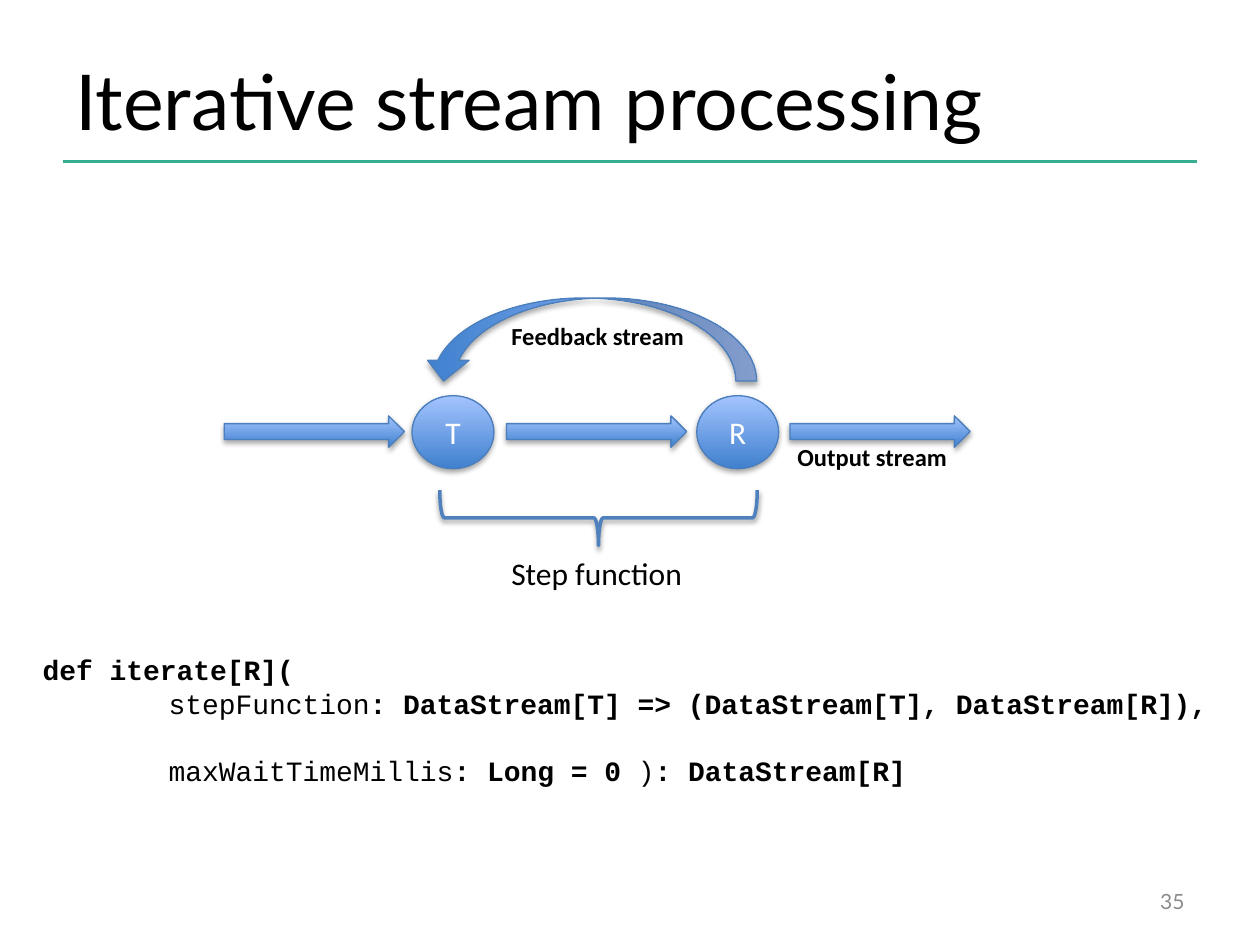
"""Build the slide on iterative stream processing."""
import dataclasses

import pptx
import pptx.dml.color
import pptx.enum.shapes
import pptx.enum.text
import pptx.oxml
import pptx.oxml.ns
import pptx.util

SHAPE = pptx.enum.shapes.MSO_SHAPE
ALIGN = pptx.enum.text.PP_ALIGN
ANCHOR = pptx.enum.text.MSO_ANCHOR
POINTS = pptx.util.Pt


@dataclasses.dataclass(frozen=True)
class Theme:
    """Hold the colours, fonts and type sizes of the slide."""
    rule: str = "34AD91"
    dark: str = "3F80CE"
    light: str = "A4C4FF"
    outline: str = "4B7EBC"
    brace: str = "4F81BD"
    ink: str = "000000"
    paper: str = "FFFFFF"
    muted: str = "8C8C8C"
    heading_font: str = "Lato"
    body_font: str = "Calibri"
    code_font: str = "Courier New"
    title_size: int = 44
    body_size: int = 18
    code_size: int = 16
    label_size: int = 14
    number_size: int = 12
    code_pitch: float = 19.2


THEME = Theme()
WIDTH, HEIGHT = pptx.util.Inches(10), pptx.util.Inches(7.5)
COLUMNS, ROWS = 100, 75


def frame(column, row, columns, rows):
    """Turn grid columns and rows into slide lengths."""
    return (int(WIDTH * column / COLUMNS), int(HEIGHT * row / ROWS),
            int(WIDTH * columns / COLUMNS), int(HEIGHT * rows / ROWS))


def colour(value):
    """Return a colour from its hex value."""
    return pptx.dml.color.RGBColor.from_string(value)


def apply(target, values):
    """Set each attribute named in a dict."""
    for name, value in values.items():
        setattr(target, name, value)


def add_span(para, text, font, size, ink, bold=False):
    """Append one run of text to a paragraph."""
    span = para.add_run()
    span.text = text
    apply(span.font, {"name": font, "size": POINTS(size), "bold": bold})
    span.font.color.rgb = colour(ink)


def add_text(shapes, place, text, font, size, ink=THEME.ink, bold=False,
             wrap=True, anchor=ANCHOR.TOP, align=ALIGN.LEFT):
    """Add a text box with a single paragraph."""
    box = shapes.add_textbox(*frame(*place))
    apply(box.text_frame, {"word_wrap": wrap, "vertical_anchor": anchor})
    para = box.text_frame.paragraphs[0]
    para.alignment = align
    add_span(para, text, font, size, ink, bold)


def set_effects(properties, shadow=None):
    """Give shape properties a soft shadow below, or no effect."""
    namespace = pptx.oxml.ns.nsdecls("a")
    inner = ""
    if shadow:
        opacity, distance = shadow
        inner = (f'<a:outerShdw blurRad="{POINTS(3.1)}" dist="{POINTS(distance)}" '
                 'dir="5400000" rotWithShape="0"><a:srgbClr val="000000">'
                 f'<a:alpha val="{opacity * 1000}"/></a:srgbClr></a:outerShdw>')
    for old in properties.findall(pptx.oxml.ns.qn("a:effectLst")):
        properties.remove(old)
    properties.append(pptx.oxml.parse_xml(
        f"<a:effectLst {namespace}>{inner}</a:effectLst>"))


def add_glossy(shapes, kind, place, rotation=0):
    """Add a preset shape with gradient, outline and shadow."""
    shape = shapes.add_shape(kind, *frame(*place))
    shape.rotation = rotation
    shape.fill.gradient()
    shape.fill.gradient_angle = 90
    for stop, position, value in zip(
            shape.fill.gradient_stops, (0, 1), (THEME.dark, THEME.light)):
        stop.position = position
        stop.color.rgb = colour(value)
    shape.line.color.rgb = colour(THEME.outline)
    shape.line.width = POINTS(0.75)
    set_effects(shape._element.spPr, (35, 1.8))
    return shape


def add_node(shapes, column, letter):
    """Add a round operator node with its letter."""
    node = add_glossy(shapes, SHAPE.OVAL, (column, 31.4, 6.5, 5.8))
    node.text_frame.vertical_anchor = ANCHOR.MIDDLE
    para = node.text_frame.paragraphs[0]
    para.alignment = ALIGN.CENTER
    add_span(para, letter, THEME.body_font, THEME.body_size, THEME.paper)


def add_brace(shapes, place):
    """Add the brace that spans the step function."""
    brace = shapes.add_shape(SHAPE.RIGHT_BRACE, *frame(*place))
    brace.rotation = 90
    brace.fill.background()
    brace.line.color.rgb = colour(THEME.brace)
    brace.line.width = POINTS(2)
    set_effects(brace._element.spPr, (38, 1.6))


def add_diagram(page):
    """Add the grouped stream diagram with its labels."""
    shapes = page.shapes.add_group_shape().shapes
    for column in (17.8, 40.2, 62.7):
        add_glossy(shapes, SHAPE.RIGHT_ARROW, (column, 33, 14.3, 2.5))
    for column, letter in ((32.7, "T"), (55.3, "R")):
        add_node(shapes, column, letter)
    add_glossy(shapes, SHAPE.CURVED_RIGHT_ARROW, (43.5, 13.7, 6.6, 26.5), 90)
    add_brace(shapes, (45.3, 28.5, 4.4, 25.2))
    for place, text, size, bold in (
            ((39.6, 43.5, 15.7, 4), "Step function", THEME.body_size, False),
            ((39.6, 25, 15.9, 6.4), "Feedback stream", THEME.label_size, True),
            ((62.3, 34.6, 14, 6.4), "Output stream", THEME.label_size, True)):
        add_text(shapes, place, text, THEME.body_font, size, bold=bold, wrap=False)


def add_code(page, place, lines):
    """Add code lines made of (text, bold) pieces."""
    box = page.shapes.add_textbox(*frame(*place))
    box.text_frame.word_wrap = True
    stops = "".join(f'<a:tab pos="{pptx.util.Inches(stop)}" algn="l"/>'
                    for stop in (0.5, 1))
    for index, (gap, pieces) in enumerate(lines):
        para = box.text_frame.add_paragraph() if index else box.text_frame.paragraphs[0]
        para._p.get_or_add_pPr().append(pptx.oxml.parse_xml(
            f'<a:tabLst {pptx.oxml.ns.nsdecls("a")}>{stops}</a:tabLst>'))
        apply(para, {"line_spacing": POINTS(THEME.code_pitch),
                     "space_before": POINTS(gap)})
        for text, bold in pieces:
            add_span(para, text, THEME.code_font, THEME.code_size, THEME.ink, bold)


def add_rule(page):
    """Add the line under the title."""
    left, top, width, _ = frame(5, 12.8, 90, 0)
    rule = page.shapes.add_connector(
        pptx.enum.shapes.MSO_CONNECTOR.STRAIGHT, left, top, left + width, top)
    rule.line.color.rgb = colour(THEME.rule)
    rule.line.width = POINTS(2)
    set_effects(rule._element.spPr)


def main():
    """Build and save the deck."""
    deck = pptx.Presentation()
    apply(deck, {"slide_width": WIDTH, "slide_height": HEIGHT})
    page = deck.slides.add_slide(deck.slide_layouts[6])
    add_rule(page)
    add_text(page.shapes, (5, 3, 81.7, 9.8), "Iterative stream processing",
             THEME.heading_font, THEME.title_size, anchor=ANCHOR.MIDDLE)
    add_diagram(page)
    add_code(page, (2.4, 51.3, 95.6, 9.1), (
        (0, (("def iterate[R](", True),)),
        (0, (("\t\t", True), ("stepFunction", False),
             (": DataStream[T] => (DataStream[T], DataStream[R]),", True))),
        (THEME.code_pitch, (("\t\t", True), ("maxWaitTimeMillis", False),
                            (": Long = 0", True), (" )", False),
                            (": DataStream[R]", True)))))
    add_text(page.shapes, (71.7, 69.5, 23.3, 4), "35", THEME.heading_font,
             THEME.number_size, THEME.muted, anchor=ANCHOR.MIDDLE, align=ALIGN.RIGHT)
    deck.save("out.pptx")


if __name__ == "__main__":
    main()
